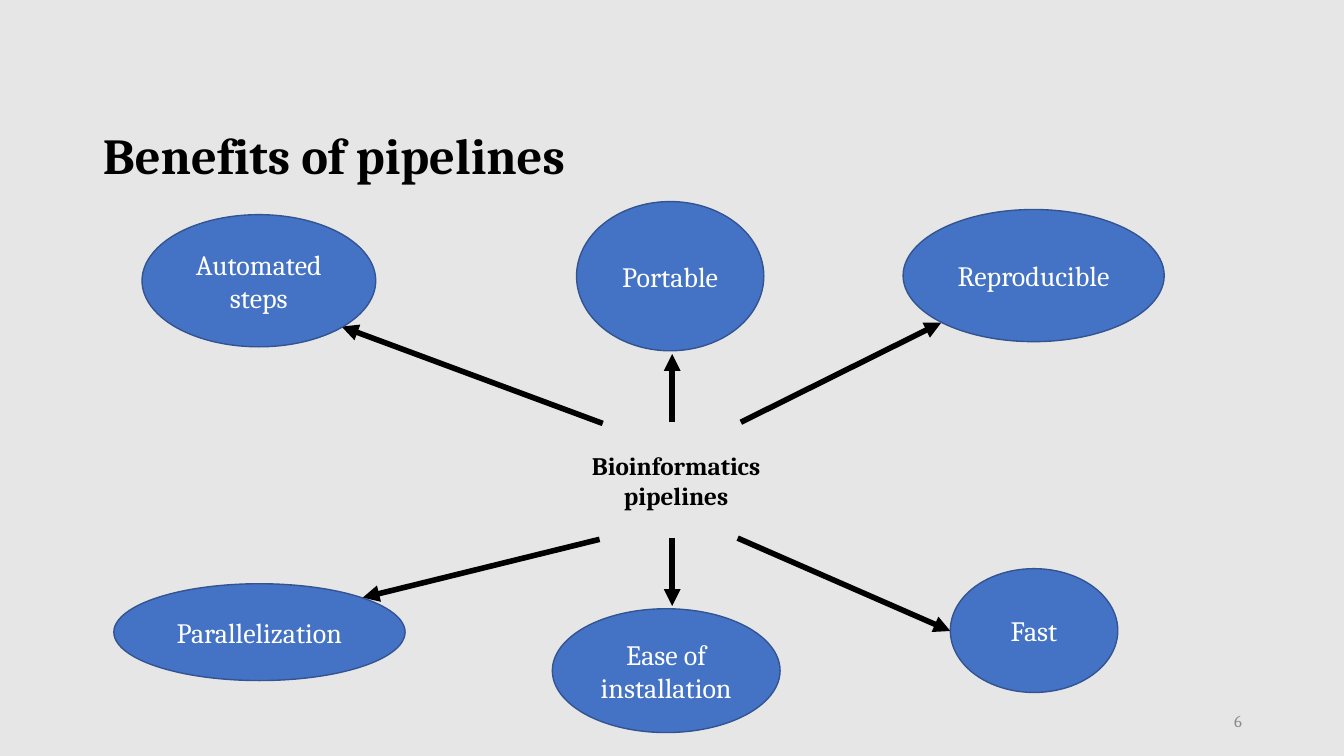
from dataclasses import dataclass

from lxml.etree import SubElement
from pptx import Presentation
from pptx.dml.color import RGBColor
from pptx.enum.shapes import MSO_CONNECTOR, MSO_SHAPE
from pptx.enum.text import MSO_ANCHOR, MSO_AUTO_SIZE, PP_ALIGN
from pptx.oxml.ns import qn
from pptx.util import Cm, Pt


@dataclass(frozen=True)
class Theme:
    font: str = "Cambria"
    background: str = "E7E6E6"
    ink: str = "000000"
    muted: str = "8C8C8C"
    bubble: str = "4472C4"
    bubble_edge: str = "325491"
    bubble_text: str = "FFFFFF"
    title_size: int = 36
    bubble_size: int = 20
    hub_size: int = 18
    number_size: int = 12
    arrow_width: int = 4
    edge_width: int = 1


THEME = Theme()

# Each benefit: label, ellipse (left, top, width, height), arrow start, arrow end; all in cm
BENEFITS = [
    ("Automated steps", (3.58, 5.41, 5.89, 3.33), (15.19, 10.67), (8.61, 8.23)),
    ("Portable", (14.53, 5.08, 4.72, 3.76), (16.94, 10.64), (16.94, 8.92)),
    ("Reproducible", (22.76, 5.28, 6.58, 3.33), (18.67, 10.64), (23.72, 8.13)),
    ("Parallelization", (2.87, 14.71, 7.34, 2.44), (15.11, 13.59), (9.14, 15.06)),
    ("Ease of installation", (13.92, 15.34, 5.74, 3.12), (16.94, 13.56), (16.94, 15.27)),
    ("Fast", (23.95, 14.33, 4.22, 3.12), (18.59, 13.56), (23.95, 15.9)),
]


def color(value):
    return RGBColor.from_string(value)


def lengths(values):
    return [Cm(value) for value in values]


def write(shape, text, *, size, ink, bold=False, align=PP_ALIGN.CENTER, spacing=None):
    """Put one formatted paragraph into a shape, centred vertically."""
    frame = shape.text_frame
    frame.word_wrap = True
    frame.auto_size = MSO_AUTO_SIZE.NONE
    frame.vertical_anchor = MSO_ANCHOR.MIDDLE
    para = frame.paragraphs[0]
    para.alignment = align
    para.line_spacing = spacing
    span = para.add_run()
    span.text = text
    span.font.name = THEME.font
    span.font.size = Pt(size)
    span.font.bold = bold
    span.font.color.rgb = color(ink)


def add_title(page, text, place):
    title = page.shapes.title
    title.left, title.top, title.width, title.height = lengths(place)
    write(title, text, size=THEME.title_size, ink=THEME.ink, bold=True,
          align=PP_ALIGN.LEFT, spacing=0.9)


def add_label(page, text, place, **text_format):
    box = page.shapes.add_textbox(*lengths(place))
    write(box, text, **text_format)


def add_bubble(page, text, place):
    bubble = page.shapes.add_shape(MSO_SHAPE.OVAL, *lengths(place))
    bubble.shadow.inherit = False
    bubble.fill.solid()
    bubble.fill.fore_color.rgb = color(THEME.bubble)
    bubble.line.color.rgb = color(THEME.bubble_edge)
    bubble.line.width = Pt(THEME.edge_width)
    write(bubble, text, size=THEME.bubble_size, ink=THEME.bubble_text)


def add_arrow(page, start, end):
    arrow = page.shapes.add_connector(MSO_CONNECTOR.STRAIGHT, *lengths(start + end))
    arrow.line.color.rgb = color(THEME.ink)
    arrow.line.width = Pt(THEME.arrow_width)
    # Arrowhead at the far end, and no shadow
    properties = arrow._element.spPr
    SubElement(properties.find(qn("a:ln")), qn("a:tailEnd"), type="triangle")
    SubElement(properties, qn("a:effectLst"))


def main():
    deck = Presentation()
    deck.slide_width, deck.slide_height = Cm(33.87), Cm(19.05)
    page = deck.slides.add_slide(deck.slide_layouts[5])
    page.background.fill.solid()
    page.background.fill.fore_color.rgb = color(THEME.background)

    # Title, page number and hub
    add_title(page, "Benefits of pipelines", (2.34, 2.92, 29.21, 2.13))
    add_label(page, "6", (23.93, 17.65, 7.62, 1.02), size=THEME.number_size,
              ink=THEME.muted, align=PP_ALIGN.RIGHT)
    add_label(page, "Bioinformatics pipelines", (14.17, 10.82, 5.74, 2.57),
              size=THEME.hub_size, ink=THEME.ink, bold=True)

    # Benefits around the hub
    for text, place, start, end in BENEFITS:
        add_arrow(page, start, end)
        add_bubble(page, text, place)

    deck.save("out.pptx")


if __name__ == "__main__":
    main()
